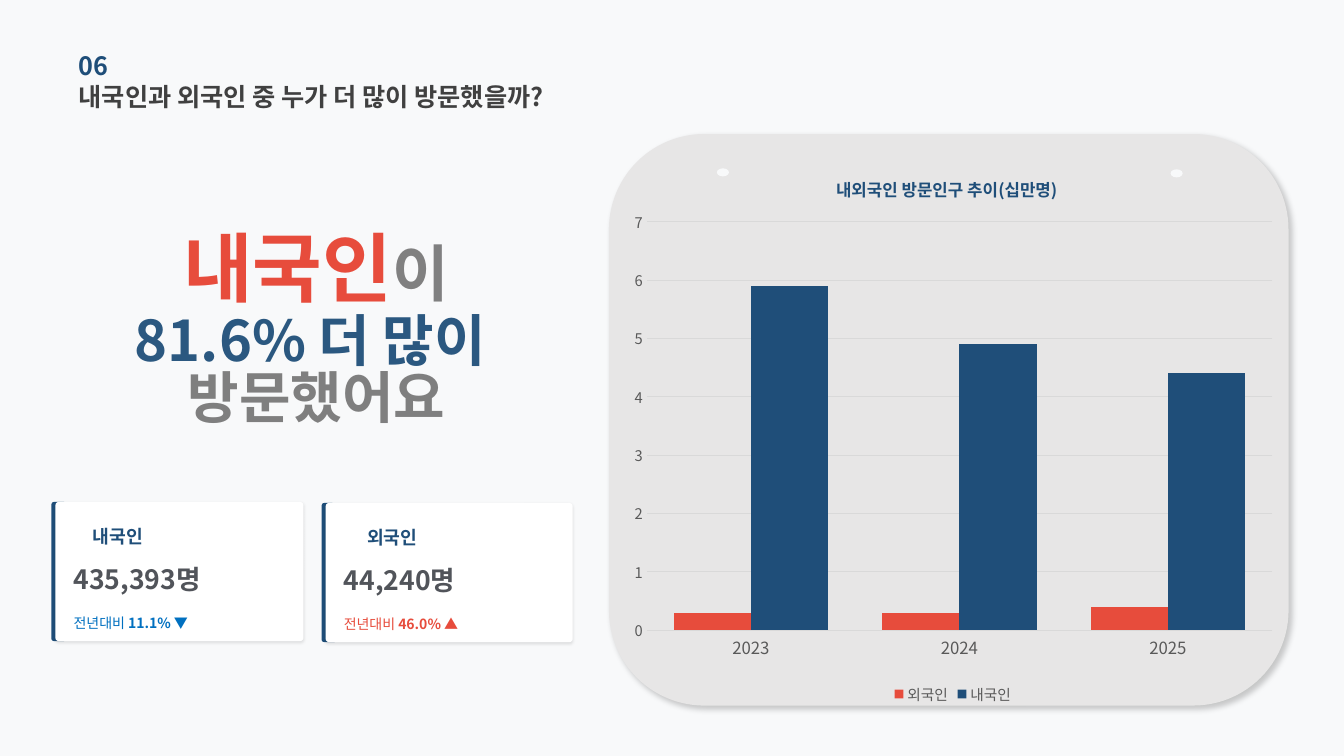
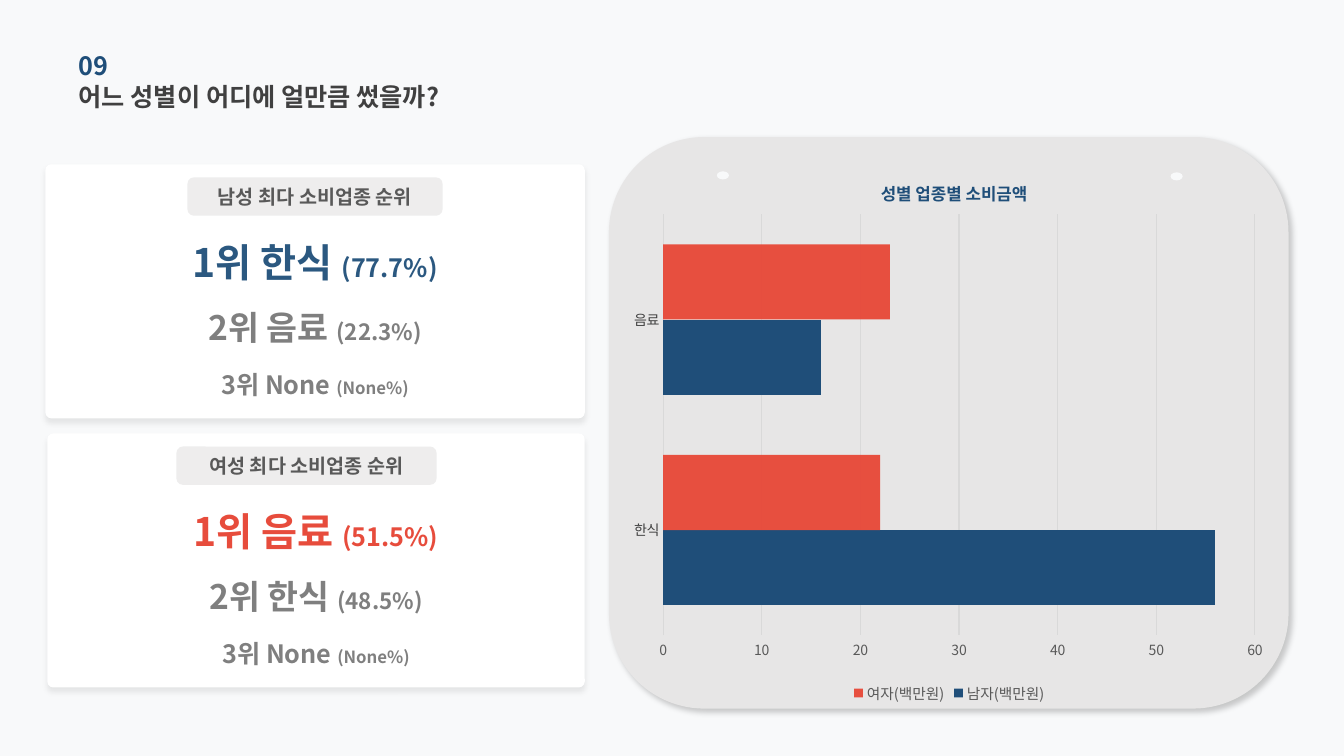
from copy import deepcopy

from pptx import Presentation
from pptx.chart.data import CategoryChartData
from pptx.dml.color import RGBColor
from pptx.enum.chart import XL_CHART_TYPE, XL_LEGEND_POSITION, XL_TICK_MARK
from pptx.enum.shapes import MSO_SHAPE
from pptx.enum.text import MSO_ANCHOR, PP_ALIGN
from pptx.oxml import parse_xml
from pptx.oxml.ns import nsdecls, qn
from pptx.util import Inches, Pt

# Shared look
FONT = "Noto Sans CJK KR"
PAGE, PANEL, WHITE, PILL = "F8F9FA", "E7E6E6", "FFFFFF", "D0CECE"
NAVY, BLUE, RED, SKY = "1F4E79", "2B5880", "E74C3C", "0070C0"
DARK, SLATE, TEXT, GRAY, GRID = "404040", "51545A", "595959", "7F7F7F", "D9D9D9"

# Shadows: opacity %, blur pt, distance pt, direction degrees
PANEL_SHADOW = (20, 4, 3, 45)
CARD_SHADOW = (10, 2, 1, 90)
RANKING_SHADOW = (8, 4, 3, 90)


def rgb(color):
    return RGBColor.from_string(color)


def paint(fill, color, opacity=100):
    fill.solid()
    fill.fore_color.rgb = rgb(color)
    if opacity < 100:
        alpha = parse_xml(f'<a:alpha {nsdecls("a")} val="{opacity * 1000}"/>')
        fill._xPr.find(qn("a:solidFill"))[0].append(alpha)


def style_font(font, **values):
    for name, value in {"name": FONT, **values}.items():
        if name == "color":
            font.color.rgb = rgb(value)
        else:
            setattr(font, name, Pt(value) if name == "size" else value)


def add_east_asian_fonts(element):
    for latin in list(element.iter(qn("a:latin"))):
        east_asian = deepcopy(latin)
        east_asian.tag = qn("a:ea")
        latin.addnext(east_asian)


def add_block(shapes, kind, box, color, opacity=100, radius=None, shadow=None):
    block = shapes.add_shape(kind, *map(Inches, box))
    paint(block.fill, color, opacity)
    block.line.fill.background()
    block.shadow.inherit = False
    if radius is not None:
        block.adjustments[0] = radius
    if shadow:
        strength, blur, distance, angle = shadow
        block._element.spPr.find(qn("a:effectLst")).append(parse_xml(
            f'<a:outerShdw {nsdecls("a")} blurRad="{Pt(blur)}" dist="{Pt(distance)}" '
            f'dir="{angle * 60000}" algn="tl" rotWithShape="0"><a:srgbClr val="000000">'
            f'<a:alpha val="{strength * 1000}"/></a:srgbClr></a:outerShdw>'))
    return block


def write(shape, paragraphs, align=PP_ALIGN.LEFT, spacing=None):
    """Each paragraph is a list of (text, size, color, bold) spans."""
    frame = shape.text_frame
    frame.word_wrap = True
    frame.vertical_anchor = MSO_ANCHOR.MIDDLE
    for side in ("left", "top", "right", "bottom"):
        setattr(frame, f"margin_{side}", 0)
    for index, spans in enumerate(paragraphs):
        para = frame.add_paragraph() if index else frame.paragraphs[0]
        para.alignment = align
        if spacing:
            para.line_spacing = spacing
        for text, size, color, bold in spans:
            span = para.add_run()
            span.text = text
            style_font(span.font, size=size, color=color, bold=bold)


def add_text(shapes, box, *paragraphs, **layout):
    write(shapes.add_textbox(*map(Inches, box)), paragraphs, **layout)


# Page background and numbered heading
def add_page(deck, number, title):
    page = deck.slides.add_slide(deck.slide_layouts[6])
    paint(page.background.fill, PAGE)
    add_text(page.shapes, (0.78, 0.75, 5.28, 0.41), [(title, 18, DARK, True)])
    add_text(page.shapes, (0.78, 0.44, 4.52, 0.41), [(number, 18, NAVY, True)])
    return page


# Rounded panel with two pin holes
def add_panel(page, left, top):
    add_block(page.shapes, MSO_SHAPE.ROUNDED_RECTANGLE, (left, top, 6.74, 5.67),
              PANEL, shadow=PANEL_SHADOW)
    for x, y in ((1.07, 0.34), (5.57, 0.35)):
        add_block(page.shapes, MSO_SHAPE.OVAL, (left + x, top + y, 0.12, 0.08), PAGE)


def manual_layout(x, y, width=None, height=None):
    target = '<c:layoutTarget val="inner"/>' if width else ""
    values = {"x": x, "y": y, "w": width, "h": height}
    modes = '<c:xMode val="edge"/><c:yMode val="edge"/>'
    parts = "".join(f'<c:{key} val="{value}"/>' for key, value in values.items()
                    if value is not None)
    return parse_xml(f'<c:layout {nsdecls("c")}><c:manualLayout>{target}{modes}{parts}'
                     '</c:manualLayout></c:layout>')


def set_layout(parent, layout, index):
    for old in parent.findall(qn("c:layout")):
        parent.remove(old)
    parent.insert(index, layout)


# Clustered chart with title above and legend below
def add_bar_chart(page, box, kind, title, title_at, plot_box, categories, series,
                  gap, scale, category_font, value_size):
    data = CategoryChartData()
    data.categories = categories
    for name, values, _, _ in series:
        data.add_series(name, values)
    chart = page.shapes.add_chart(kind, *map(Inches, box), data).chart
    style_font(chart.font, size=10, color="000000")

    chart.has_title = True
    span = chart.chart_title.text_frame.paragraphs[0].add_run()
    span.text = title
    style_font(span.font, size=12, color=NAVY, bold=True)
    chart.chart_title.include_in_layout = False
    set_layout(chart.chart_title._element, manual_layout(*title_at), 1)
    set_layout(chart._chartSpace.chart.plotArea, manual_layout(*plot_box), 0)

    chart.has_legend = True
    chart.legend.position = XL_LEGEND_POSITION.BOTTOM
    chart.legend.include_in_layout = False
    style_font(chart.legend.font, size=10.5, color=TEXT)

    plot = chart.plots[0]
    plot.gap_width, plot.overlap, plot.vary_by_categories = gap, 0, False
    for item, (_, _, color, opacity) in zip(plot.series, series):
        paint(item.format.fill, color, opacity)
        item.invert_if_negative = False

    category, value = chart.category_axis, chart.value_axis
    for axis in (category, value):
        axis.major_tick_mark = axis.minor_tick_mark = XL_TICK_MARK.NONE
    category.has_major_gridlines = False
    value.has_major_gridlines = True
    for line in (category.format.line, value.major_gridlines.format.line):
        line.color.rgb = rgb(GRID)
        line.width = Pt(0.75)
    value.format.line.fill.background()
    value.minimum_scale, value.maximum_scale, value.major_unit = scale
    value.tick_labels.number_format = "General"
    value.tick_labels.number_format_is_linked = False
    style_font(category.tick_labels.font, **category_font)
    style_font(value.tick_labels.font, size=value_size, color=TEXT)
    add_east_asian_fonts(chart._chartSpace)


# White card with navy edge: label, count, change on last year
def add_visitor_card(page, left, top, width, label_indent, label, count, change, color):
    shapes, rounded = page.shapes, MSO_SHAPE.ROUNDED_RECTANGLE
    add_block(shapes, rounded, (left - 0.04, top, 0.15, 1.38), NAVY)
    add_block(shapes, rounded, (left, top, width, 1.38), WHITE,
              radius=0.023, shadow=CARD_SHADOW)
    add_text(shapes, (left + label_indent, top + 0.2, 0.65, 0.28),
             [(label, 13, NAVY, True)])
    add_text(shapes, (left + 0.18, top + 0.57, 2.25, 0.39), [(count, 19, SLATE, True)])
    add_text(shapes, (left + 0.18, top + 0.97, 2.25, 0.45),
             [("전년대비 ", 10, color, False), (change, 10, color, True)])


# White card with a pill heading and three ranks
def add_ranking_card(page, box, pill, heading, ranks, lead_color):
    left, top, width, _ = box
    pill_left, pill_width = pill
    shapes, rounded = page.shapes.add_group_shape().shapes, MSO_SHAPE.ROUNDED_RECTANGLE
    add_block(shapes, rounded, box, WHITE, radius=0.023, shadow=RANKING_SHADOW)
    rows = ((0.73, 0.48, 28, 18, lead_color), (1.19, 0.84, 24, 16, GRAY),
            (1.76, 0.84, 18, 12, GRAY))
    for (name, share), (offset, height, size, small, color) in zip(ranks, rows):
        add_text(shapes, (left, top + offset, width, height),
                 [(f"{name} ", size, color, True), (f"({share})", small, color, True)],
                 align=PP_ALIGN.CENTER)
    badge = add_block(shapes, rounded, (left + pill_left, top + 0.13, pill_width, 0.38),
                      PILL, opacity=36)
    write(badge, [[(heading, 14, TEXT, True)]], align=PP_ALIGN.CENTER)


def build_visitor_page(deck):
    page = add_page(deck, "06", "내국인과 외국인 중 누가 더 많이 방문했을까?")
    add_panel(page, 6.04, 1.33)
    # Key message
    add_text(page.shapes, (0.99, 2.4, 4.29, 0.48),
             [("내국인", 54, RED, True), ("이", 44, "808080", True)],
             align=PP_ALIGN.CENTER)
    add_text(page.shapes, (0.38, 3.28, 5.52, 0.84),
             [("81.6% 더 많이 ", 40, BLUE, True)], [("방문했어요", 40, GRAY, True)],
             align=PP_ALIGN.CENTER, spacing=0.84)
    add_visitor_card(page, 0.55, 4.98, 2.46, 0.37, "내국인", "435,393명", "11.1% ▼", SKY)
    add_visitor_card(page, 3.23, 4.99, 2.45, 0.41, "외국인", "44,240명", "46.0% ▲", RED)
    add_bar_chart(page, (6.15, 1.48, 6.6, 5.55), XL_CHART_TYPE.COLUMN_CLUSTERED,
                  "내외국인 방문인구 추이(십만명)", (0.32, 0.04), (0.04, 0.13, 0.94, 0.73),
                  ["2023", "2024", "2025"],
                  [("외국인", (0.3, 0.3, 0.4), RED, 100),
                   ("내국인", (5.9, 4.9, 4.4), NAVY, 100)],
                  70, (0, 7, 1), {"size": 12, "color": TEXT}, 10.5)
    add_east_asian_fonts(page.element)


def build_spending_page(deck):
    page = add_page(deck, "09", "어느 성별이 어디에 얼만큼 썼을까?")
    add_panel(page, 6.04, 1.36)
    add_ranking_card(page, (0.45, 1.63, 5.35, 2.52), (1.41, 2.53), "남성 최다 소비업종 순위",
                     [("1위 한식", "77.7%"), ("2위 음료", "22.3%"), ("3위 None", "None%")],
                     BLUE)
    add_ranking_card(page, (0.47, 4.3, 5.33, 2.52), (1.28, 2.58), "여성 최다 소비업종 순위",
                     [("1위 음료", "51.5%"), ("2위 한식", "48.5%"), ("3위 None", "None%")],
                     RED)
    add_bar_chart(page, (6.19, 1.52, 6.45, 5.5), XL_CHART_TYPE.BAR_CLUSTERED,
                  "성별 업종별 소비금액", (0.39, 0.04), (0.06, 0.11, 0.91, 0.76),
                  ["한식", "음료"],
                  [("남자(백만원)", (56, 16), NAVY, 100), ("여자(백만원)", (22, 23), RED, 98)],
                  80, (0, 60, 10), {"size": 10, "color": DARK}, 10)
    add_east_asian_fonts(page.element)


def main():
    deck = Presentation()
    deck.slide_width, deck.slide_height = Inches(13.33), Inches(7.5)
    build_visitor_page(deck)
    build_spending_page(deck)
    deck.save("out.pptx")


if __name__ == "__main__":
    main()
